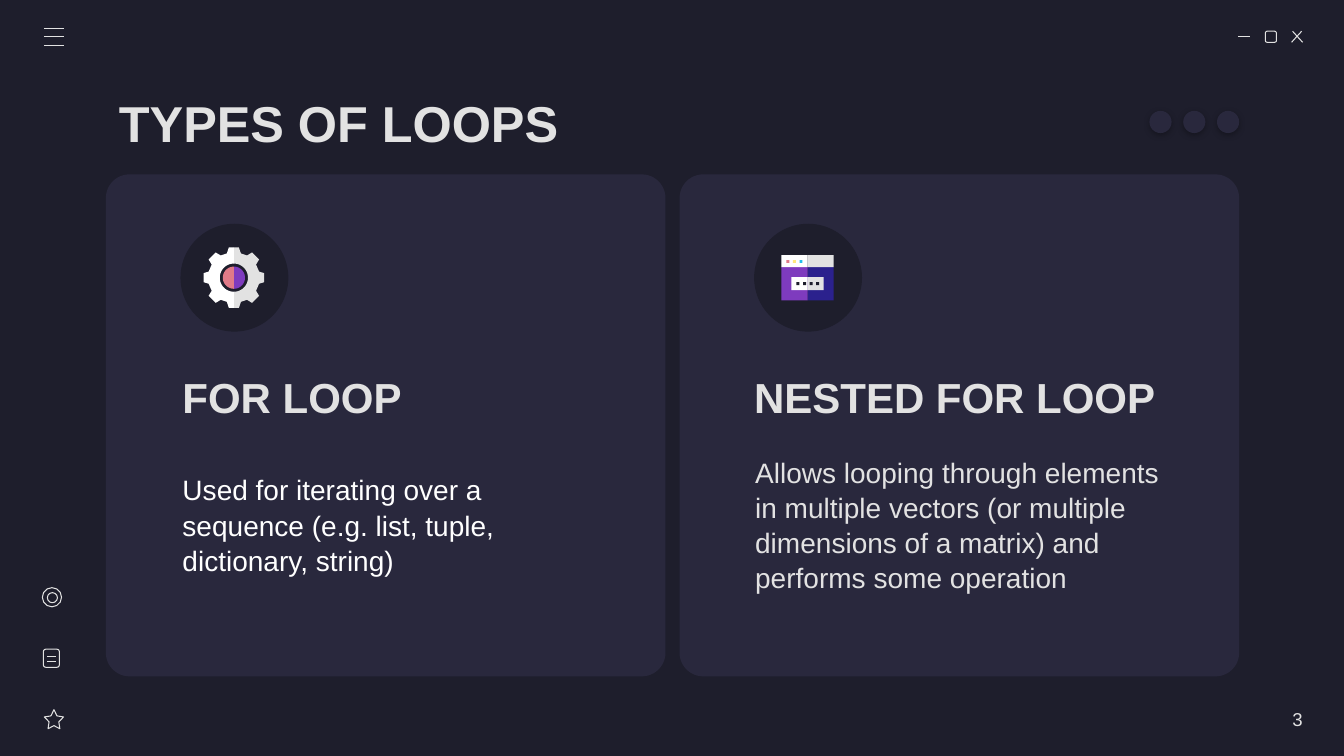
"""Build the dark "Types of loops" slide with two cards, icons and window controls."""
import math
import lxml.etree
import pptx
import pptx.dml.color
import pptx.enum.shapes
import pptx.enum.text
import pptx.oxml.ns
import pptx.util

Inches = pptx.util.Inches
MSO = pptx.enum.shapes.MSO_SHAPE
ALIGN = pptx.enum.text.PP_ALIGN
qn = pptx.oxml.ns.qn
colors = {"dark": "1E1E2C", "card": "29283D", "light": "E2E2E2", "white": "FFFFFF",
          "purple": "7E3BBE", "navy": "2B218D", "pink": "E07A88", "yellow": "FFEA7D",
          "cyan": "24BFEB"}
rgb = {k: pptx.dml.color.RGBColor.from_string(v) for k, v in colors.items()}

prs = pptx.Presentation()
prs.slide_width, prs.slide_height = Inches(13.33), Inches(7.5)
s = prs.slides.add_slide(prs.slide_layouts[6])
s.background.fill.solid()
s.background.fill.fore_color.rgb = rgb["dark"]


def add_shape(kind, x, y, w, h, fill=None, adj=None):
    """Add a filled shape, or a light outline when no fill is given."""
    sp = s.shapes.add_shape(kind, Inches(x), Inches(y), Inches(w), Inches(h))
    sp.shadow.inherit = False
    if fill:
        sp.fill.solid()
        sp.fill.fore_color.rgb = rgb[fill]
        sp.line.fill.background()
    else:
        sp.fill.background()
        sp.line.color.rgb = rgb["light"]
        sp.line.width = pptx.util.Pt(0.75)
    if adj:
        sp.adjustments[0] = adj
    return sp


def add_text(text, x, y, w, h, size, color="light", bold=False, left=0.13, right=0.13,
             align=ALIGN.LEFT, spacing=1.0):
    """Add a wrapped, vertically centred text box."""
    tf = s.shapes.add_textbox(Inches(x), Inches(y), Inches(w), Inches(h)).text_frame
    tf.word_wrap = True
    tf.vertical_anchor = pptx.enum.text.MSO_ANCHOR.MIDDLE
    tf.margin_left, tf.margin_right = Inches(left), Inches(right)
    tf.margin_top = tf.margin_bottom = Inches(0.13)
    p = tf.paragraphs[0]
    p.text, p.alignment, p.line_spacing = text, align, spacing
    font = p.runs[0].font
    font.name, font.size, font.bold = "Arial", pptx.util.Pt(size), bold
    font.color.rgb = rgb[color]


for x in (1.05, 6.74):
    add_shape(MSO.ROUNDED_RECTANGLE, x, 1.73, 5.55, 4.98, "card", 0.047)
for x in (1.79, 7.48):
    add_shape(MSO.OVAL, x, 2.22, 1.07, 1.07, "dark")

add_shape(MSO.ROUNDED_RECTANGLE, 12.55, 0.31, 0.11, 0.11)
star = add_shape(MSO.STAR_5_POINT, 0.44, 7.04, 0.19, 0.19)
star.adjustments[0] = 0.254
add_shape(MSO.ROUNDED_RECTANGLE, 0.43, 6.44, 0.16, 0.18)
add_shape(MSO.OVAL, 0.42, 5.83, 0.19, 0.19)
add_shape(MSO.OVAL, 0.47, 5.88, 0.1, 0.1)

window_lines = [(12.28, 0.36, 12.4, 0.36), (12.82, 0.31, 12.92, 0.42), (12.91, 0.31, 12.81, 0.42)]
menu_lines = [(0.44, y, 0.63, y) for y in (0.28, 0.36, 0.45)]
page_lines = [(0.47, y, 0.56, y) for y in (6.51, 6.56)]
for ends in window_lines + menu_lines + page_lines:
    line = s.shapes.add_connector(pptx.enum.shapes.MSO_CONNECTOR.STRAIGHT, *map(Inches, ends))
    line.line.color.rgb = rgb["light"]
    line.line.width = pptx.util.Pt(0.75)
    lxml.etree.SubElement(line._element.spPr, qn("a:effectLst"))

for i in range(3):
    dot = add_shape(MSO.OVAL, 11.4 + i * 0.335, 1.1, 0.22, 0.22, "card")
    shadow = lxml.etree.SubElement(dot._element.spPr.find(qn("a:effectLst")), qn("a:outerShdw"),
                                   blurRad="57150", dist="19050", dir="5400000",
                                   algn="bl", rotWithShape="0")
    black = lxml.etree.SubElement(shadow, qn("a:srgbClr"), val="000000")
    lxml.etree.SubElement(black, qn("a:alpha"), val="30000")

teeth = [(0, -0.3), (0.05, -0.3), (0.07, -0.24), (0.13, -0.22), (0.18, -0.25), (0.25, -0.18),
         (0.22, -0.13), (0.25, -0.06), (0.3, -0.045)]
rim = teeth + [(x, -y) for x, y in reversed(teeth)]
arc = [(math.cos(math.radians(a)), math.sin(math.radians(a))) for a in range(90, -91, -6)]
gear = rim + [(0.14 * x, 0.14 * y) for x, y in arc]
core = [(0.11 * x, 0.11 * y) for x, y in arc]
for points, side, color in [(gear, 1, "light"), (gear, -1, "white"),
                            (core, 1, "purple"), (core, -1, "pink")]:
    outline = [(Inches(2.32 + side * x), Inches(2.755 + y)) for x, y in points]
    builder = s.shapes.build_freeform(*outline[0])
    builder.add_line_segments(outline[1:], close=True)
    sp = builder.convert_to_shape()
    sp.shadow.inherit = False
    sp.fill.solid()
    sp.fill.fore_color.rgb = rgb[color]
    sp.line.fill.background()

browser = [(8.01, 2.65, 0.26, 0.33, "navy"), (7.75, 2.65, 0.26, 0.33, "purple"),
           (8.01, 2.53, 0.26, 0.12, "light"), (7.75, 2.53, 0.26, 0.12, "white"),
           (8.01, 2.75, 0.16, 0.13, "light"), (7.85, 2.75, 0.16, 0.13, "white")]
buttons = [(7.8 + i * 0.065, 2.58, 0.03, 0.03, c) for i, c in enumerate(("pink", "yellow", "cyan"))]
password = [(7.9 + i * 0.065, 2.8, 0.03, 0.03, "dark") for i in range(4)]
for part in browser + buttons + password:
    add_shape(MSO.RECTANGLE, *part)

add_text("TYPES OF LOOPS", 1.05, 0.79, 11.23, 0.84, 36, bold=True)
add_text("FOR LOOP", 1.68, 3.6, 4.29, 0.67, 30, bold=True)
add_text("NESTED FOR LOOP", 7.48, 3.73, 4.29, 0.41, 30, bold=True, left=0)
add_text("Used for iterating over a sequence (e.g. list, tuple, dictionary, string)",
         1.68, 4.27, 4.29, 1.86, 20, "white", spacing=1.05)
add_text("Allows looping through elements in multiple vectors (or multiple dimensions of a matrix) "
         "and performs some operation", 7.36, 4.27, 4.29, 1.86, 20, spacing=1.04)
add_text("3", 11.37, 6.93, 1.55, 0.41, 13.3, right=0, align=ALIGN.RIGHT)

prs.save("out.pptx")
